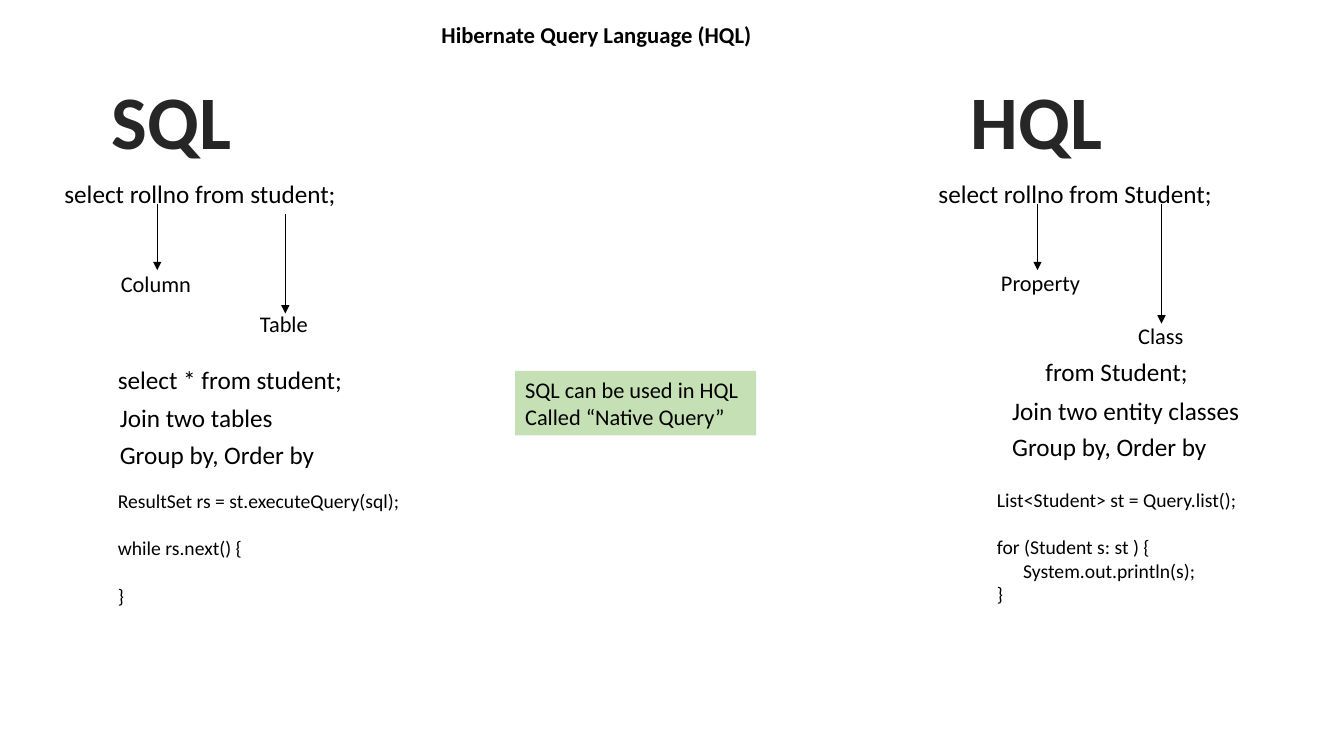
from dataclasses import dataclass

from lxml.etree import SubElement
from pptx import Presentation
from pptx.dml.color import RGBColor
from pptx.enum.shapes import MSO_CONNECTOR, MSO_SHAPE
from pptx.enum.text import MSO_ANCHOR, MSO_AUTO_SIZE, PP_ALIGN
from pptx.oxml.ns import qn
from pptx.slide import Slide
from pptx.text.text import TextFrame
from pptx.util import Inches, Pt

BLACK, CHARCOAL, GREEN = "000000", "262626", "C5E0B4"


@dataclass(frozen=True)
class Line:
    text: str
    space_before: float = 0
    indent: float = 0


@dataclass(frozen=True)
class Label:
    left: float
    top: float
    width: float
    height: float
    lines: tuple[Line, ...]
    size: float
    bold: bool = False
    color: str = BLACK
    align: PP_ALIGN = PP_ALIGN.LEFT


@dataclass(frozen=True)
class Arrow:
    x: float
    top: float
    bottom: float


def heading(left: float, width: float, text: str) -> Label:
    return Label(left, 0.68, width, 1.01, (Line(text),), 54, True, CHARCOAL, PP_ALIGN.CENTER)


def statement(left: float, top: float, width: float, text: str) -> Label:
    return Label(left, top, width, 0.4, (Line(text),), 18)


def caption(left: float, top: float, width: float, text: str) -> Label:
    return Label(left, top, width, 0.37, (Line(text),), 16)


def code(left: float, top: float, width: float, *lines: Line) -> Label:
    return Label(left, top, width, 1.28, lines, 14)


TITLE = Label(2.23, 0.2, 7.37, 0.33, (Line("Hibernate Query Language (HQL)"),), 16.2, True,
              align=PP_ALIGN.CENTER)
NOTE = Label(5.11, 3.68, 2.39, 0.64,
             (Line("SQL can be used in HQL"), Line("Called “Native Query”")), 16)
CODE_GAP = 17.1

LABELS = (
    heading(1, 1.4, "SQL"),
    statement(0.54, 1.72, 2.93, "select rollno from student;"),
    caption(1.1, 2.63, 0.9, "Column"),
    caption(2.48, 3.03, 0.68, "Table"),
    statement(1.07, 3.57, 2.45, "select * from student;"),
    statement(1.09, 3.94, 1.8, "Join two tables"),
    statement(1.09, 4.31, 2.15, "Group by, Order by"),
    code(1.07, 4.8, 3.07, Line("ResultSet rs = st.executeQuery(sql);"),
         Line("while rs.next() {", CODE_GAP), Line("}", CODE_GAP)),
    heading(9.48, 1.6, "HQL"),
    statement(9.21, 1.72, 2.94, "select rollno from Student;"),
    caption(9.83, 2.62, 1, "Property"),
    caption(11.19, 3.15, 0.65, "Class"),
    statement(10.27, 3.49, 1.64, "from Student;"),
    statement(9.94, 3.87, 2.48, "Join two entity classes"),
    statement(9.94, 4.23, 2.15, "Group by, Order by"),
    code(9.79, 4.79, 2.64, Line("List<Student> st = Query.list();"),
         Line("for (Student s: st ) {", CODE_GAP),
         Line("System.out.println(s);", indent=0.26), Line("}")),
)

ARROWS = (
    Arrow(1.56, 2.02, 2.68),
    Arrow(2.83, 2.12, 3.11),
    Arrow(10.29, 2.02, 2.68),
    Arrow(11.52, 2.02, 3.21),
)


def rgb(color: str) -> RGBColor:
    return RGBColor.from_string(color)


def place(label: Label) -> tuple[int, ...]:
    return tuple(map(Inches, (label.left, label.top, label.width, label.height)))


def write_lines(frame: TextFrame, label: Label) -> None:
    span_format = {"name": "Calibri", "size": Pt(label.size), "bold": label.bold}
    frame.word_wrap = label.align == PP_ALIGN.CENTER
    frame.auto_size = MSO_AUTO_SIZE.SHAPE_TO_FIT_TEXT
    for index, line in enumerate(label.lines):
        para = frame.add_paragraph() if index else frame.paragraphs[0]
        para.alignment = label.align
        if line.space_before:
            para.space_before = Pt(line.space_before)
        if line.indent:
            para._p.get_or_add_pPr().set("marL", str(Inches(line.indent)))
        span = para.add_run()
        span.text = line.text
        for attribute, value in span_format.items():
            setattr(span.font, attribute, value)
        span.font.color.rgb = rgb(label.color)


def add_label(page: Slide, label: Label) -> TextFrame:
    box = page.shapes.add_textbox(*place(label))
    write_lines(box.text_frame, label)
    return box.text_frame


def add_title(page: Slide) -> None:
    frame = add_label(page, TITLE)
    frame.auto_size = MSO_AUTO_SIZE.NONE
    frame.vertical_anchor = MSO_ANCHOR.BOTTOM
    frame.paragraphs[0].line_spacing = 0.9


def add_note(page: Slide) -> None:
    box = page.shapes.add_shape(MSO_SHAPE.RECTANGLE, *place(NOTE))
    box.shadow.inherit = False
    box.fill.solid()
    box.fill.fore_color.rgb = rgb(GREEN)
    box.line.fill.background()
    write_lines(box.text_frame, NOTE)


def add_arrow(page: Slide, arrow: Arrow) -> None:
    x = Inches(arrow.x)
    connector = page.shapes.add_connector(
        MSO_CONNECTOR.STRAIGHT, x, Inches(arrow.top), x, Inches(arrow.bottom))
    connector.line.color.rgb = rgb(BLACK)
    connector.line.width = Pt(0.5)
    SubElement(connector.line._get_or_add_ln(), qn("a:tailEnd"), type="triangle")
    SubElement(connector._element.spPr, qn("a:effectLst"))


def main() -> None:
    """Build the slide comparing SQL with HQL."""
    deck = Presentation()
    deck.slide_width, deck.slide_height = Inches(13.33), Inches(7.5)
    page = deck.slides.add_slide(deck.slide_layouts[6])
    add_title(page)
    for label in LABELS:
        add_label(page, label)
    for arrow in ARROWS:
        add_arrow(page, arrow)
    add_note(page)
    deck.save("out.pptx")


if __name__ == "__main__":
    main()
